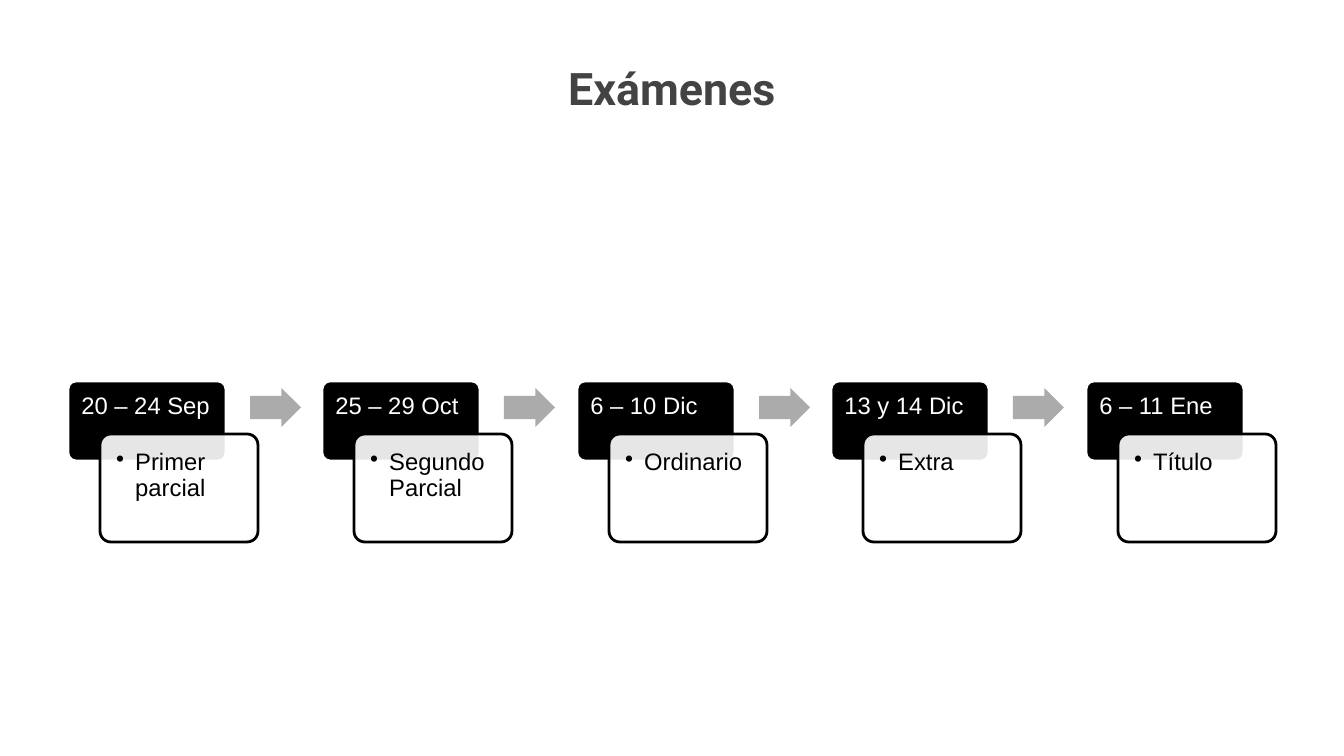
from lxml.etree import SubElement
from pptx import Presentation
from pptx.dml.color import RGBColor
from pptx.enum.shapes import MSO_SHAPE
from pptx.enum.text import MSO_ANCHOR, MSO_AUTO_SIZE, PP_ALIGN
from pptx.oxml.ns import qn
from pptx.util import Emu, Pt

BLACK = RGBColor(0x00, 0x00, 0x00)
WHITE = RGBColor(0xFF, 0xFF, 0xFF)
GRAY = RGBColor(0xAB, 0xAB, 0xAB)
DARK_GRAY = RGBColor(0x43, 0x43, 0x43)
EMU_PER_PX = 914400 / 100.8
EXAMS = [
    ("20 – 24 Sep", "Primer parcial"),
    ("25 – 29 Oct", "Segundo Parcial"),
    ("6 – 10 Dic", "Ordinario"),
    ("13 y 14 Dic", "Extra"),
    ("6 – 11 Ene", "Título"),
]


def px(length):
    return Emu(round(length * EMU_PER_PX))


def write(box, text, inset, font_format, align, spacing):
    frame = box.text_frame
    frame_format = {
        "word_wrap": True,
        "auto_size": MSO_AUTO_SIZE.NONE,
        "vertical_anchor": MSO_ANCHOR.TOP,
        "margin_left": px(inset),
        "margin_right": px(inset),
        "margin_top": px(inset),
        "margin_bottom": px(inset),
    }
    for name, value in frame_format.items():
        setattr(frame, name, value)
    para = frame.paragraphs[0]
    para.alignment = align
    para.line_spacing = spacing
    span = para.add_run()
    span.text = text
    color = font_format["color"]
    for name, value in font_format.items():
        if name != "color":
            setattr(span.font, name, value)
    span.font.color.rgb = color
    return para


deck = Presentation()
deck.slide_width = px(1344)
deck.slide_height = px(756)
page = deck.slides.add_slide(deck.slide_layouts[0])
subtitle = page.placeholders[1].element
subtitle.getparent().remove(subtitle)

title = page.shapes.title
title_place = {"left": 289, "top": 51, "width": 766, "height": 139}
for name, value in title_place.items():
    setattr(title, name, px(value))
title_font = {"name": "Roboto", "size": Pt(32), "bold": True, "color": DARK_GRAY}
write(title, "Exámenes", 10, title_font, PP_ALIGN.CENTER, 1.0)

date_font = {"name": "Arial", "size": Pt(17), "color": WHITE}
exam_font = {"name": "Arial", "size": Pt(17), "color": BLACK}

for index, (date, exam) in enumerate(EXAMS):
    left = 68 + index * 1018 // 4

    date_box = page.shapes.add_shape(
        MSO_SHAPE.ROUNDED_RECTANGLE, px(left), px(381), px(158), px(80))
    exam_box = page.shapes.add_shape(
        MSO_SHAPE.ROUNDED_RECTANGLE, px(left + 32), px(434), px(158), px(108))
    for box, fill, line in ((date_box, BLACK, WHITE), (exam_box, WHITE, BLACK)):
        box.shadow.inherit = False
        box.adjustments[0] = 0.1
        box.fill.solid()
        box.fill.fore_color.rgb = fill
        box.line.color.rgb = line
        box.line.width = Pt(2)

    write(date_box, date, 11, date_font, PP_ALIGN.LEFT, 0.9)
    para = write(exam_box, exam, 13, exam_font, PP_ALIGN.LEFT, 0.9)
    bullet_format = para._p.get_or_add_pPr()
    bullet_format.set("marL", str(px(19)))
    bullet_format.set("indent", str(px(-19)))
    SubElement(bullet_format, qn("a:buChar")).set("char", "•")
    fill_color = exam_box.element.spPr.find(qn("a:solidFill"))[0]
    SubElement(fill_color, qn("a:alpha")).set("val", "90000")

    if index < len(EXAMS) - 1:
        arrow = page.shapes.add_shape(
            MSO_SHAPE.RIGHT_ARROW, px(left + 182), px(388), px(51), px(39))
        arrow.shadow.inherit = False
        arrow.adjustments[0] = 0.6
        arrow.adjustments[1] = 0.5
        arrow.fill.solid()
        arrow.fill.fore_color.rgb = GRAY
        arrow.line.fill.background()

deck.save("out.pptx")
